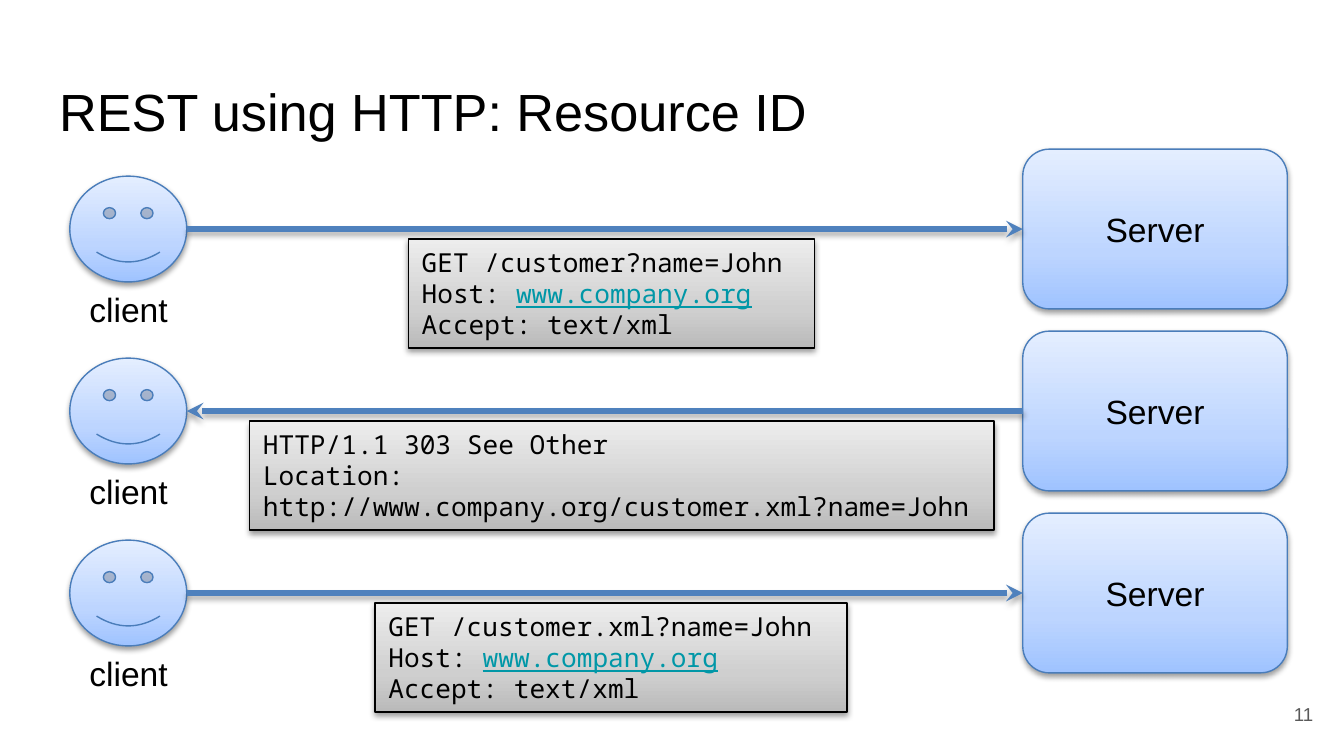
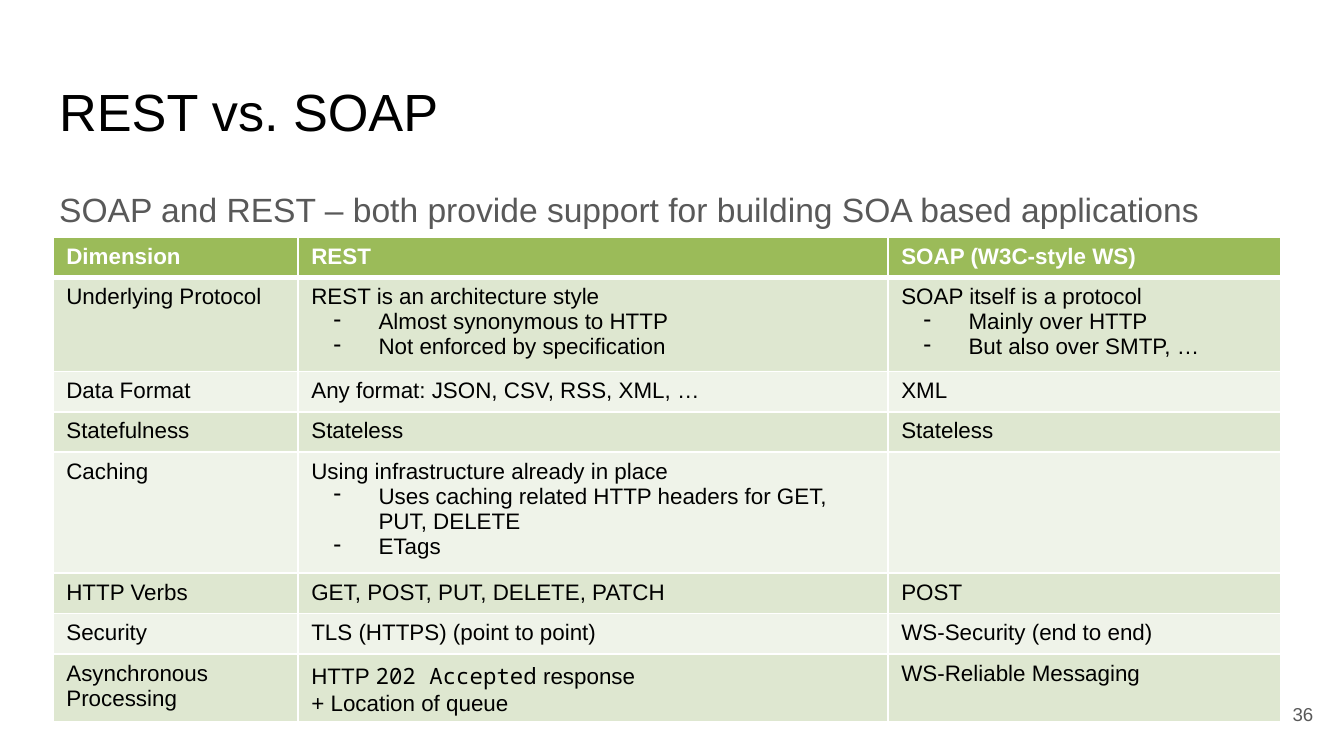
from copy import deepcopy
from dataclasses import dataclass, replace

from lxml import etree
from pptx import Presentation
from pptx.dml.color import RGBColor
from pptx.enum.shapes import MSO_CONNECTOR, MSO_SHAPE
from pptx.enum.text import MSO_ANCHOR, PP_ALIGN
from pptx.oxml import parse_xml
from pptx.oxml.ns import nsdecls, qn
from pptx.util import Cm, Pt

STRAIGHT = MSO_CONNECTOR.STRAIGHT
RECTANGLE = MSO_SHAPE.RECTANGLE
ROUNDED = MSO_SHAPE.ROUNDED_RECTANGLE
SMILEY = MSO_SHAPE.SMILEY_FACE
TOP, MIDDLE = MSO_ANCHOR.TOP, MSO_ANCHOR.MIDDLE
LEFT, CENTER, RIGHT = PP_ALIGN.LEFT, PP_ALIGN.CENTER, PP_ALIGN.RIGHT
LEFT_SIDE = 1
BLANK_LAYOUT = 6


@dataclass(frozen=True)
class TextStyle:
    size: float
    color: str
    font: str = "Arial"
    bold: bool = False
    underline: bool = False


@dataclass(frozen=True)
class Theme:
    title = TextStyle(28, "000000")
    body = TextStyle(18, "595959")
    number = TextStyle(10, "595959")
    label = TextStyle(18, "000000")
    code = TextStyle(14, "000000", "Noto Sans Mono")
    link = replace(code, color="0097A7", underline=True)
    header = TextStyle(12, "FFFFFF", bold=True)
    cell = TextStyle(12, "000000")
    cell_code = replace(cell, font="Noto Sans Mono")
    blue = ("9FC3FF", "BDD5FF", "E4EEFF")
    gray = ("BABABA", "CFCFCF", "EDEDED")
    blue_line = "4A7DBA"
    black_line = "000000"
    arrow = "4F81BD"
    header_fill = "9BBB59"
    row_fills = ("DEE7D0", "EFF3E9")
    border = "FFFFFF"


THEME = Theme()

EXCHANGES = (
    ("tailEnd", 7.72, 7.67,
     ("GET /customer?name=John", "Host: `www.company.org`", "Accept: text/xml")),
    ("headEnd", 4.72, 14.07,
     ("HTTP/1.1 303 See Other",
      "Location: http://www.company.org/customer.xml?name=John")),
    ("tailEnd", 7.09, 8.92,
     ("GET /customer.xml?name=John", "Host: `www.company.org`", "Accept: text/xml")),
)

COMPARISON = (
    (0.72, ("Dimension",), ("REST",), ("SOAP (W3C-style WS)",)),
    (1.66, ("Underlying Protocol",),
     ("REST is an architecture style", "- Almost synonymous to HTTP",
      "- Not enforced by specification"),
     ("SOAP itself is a protocol", "- Mainly over HTTP", "- But also over SMTP, …")),
    (0.72, ("Data Format",), ("Any format: JSON, CSV, RSS, XML, …",), ("XML",)),
    (0.72, ("Statefulness",), ("Stateless",), ("Stateless",)),
    (2.13, ("Caching",),
     ("Using infrastructure already in place",
      "- Uses caching related HTTP headers for GET, PUT, DELETE", "- ETags"), ()),
    (0.72, ("HTTP Verbs",), ("GET, POST, PUT, DELETE, PATCH",), ("POST",)),
    (0.72, ("Security",), ("TLS (HTTPS) (point to point)",),
     ("WS-Security (end to end)",)),
    (1.29, ("Asynchronous Processing",),
     ("HTTP `202 Accepted` response\n+ Location of queue",),
     ("WS-Reliable Messaging",)),
)


def rgb(color):
    return RGBColor.from_string(color)


def add_run(paragraph, text, style):
    run = paragraph.add_run()
    run.text = text
    font = run.font
    font.size, font.name = Pt(style.size), style.font
    font.bold, font.underline = style.bold, style.underline
    font.color.rgb = rgb(style.color)
    return run


def add_marked_text(paragraph, text, style, marked_style):
    for part_index, part in enumerate(text.split("`")):
        part_style = marked_style if part_index % 2 else style
        for line_index, line in enumerate(part.split("\n")):
            if line_index:
                paragraph.add_line_break()
                paragraph._p[-1].append(deepcopy(run._r.rPr))
            if line:
                run = add_run(paragraph, line, part_style)


def add_bullet(paragraph):
    properties = paragraph._p.get_or_add_pPr()
    properties.set("marL", str(Cm(1.27)))
    properties.set("indent", str(-Cm(0.85)))
    color = etree.SubElement(properties, qn("a:buClr"))
    etree.SubElement(color, qn("a:srgbClr"), val=THEME.cell.color)
    etree.SubElement(properties, qn("a:buChar"), char="-")


def write_lines(frame, lines, style, marked_style=None, align=LEFT):
    for index, line in enumerate(lines):
        paragraph = frame.add_paragraph() if index else frame.paragraphs[0]
        paragraph.alignment = align
        if line.startswith("- "):
            add_bullet(paragraph)
            line = line[2:]
        add_marked_text(paragraph, line, style, marked_style)


def set_frame(frame, anchor, inset):
    frame.word_wrap = True
    frame.vertical_anchor = anchor
    frame.margin_left = frame.margin_right = Cm(0.25)
    frame.margin_top = frame.margin_bottom = Cm(inset)


def add_text(slide, box, text, style, align=LEFT, anchor=TOP, inset=0.25):
    frame = slide.shapes.add_textbox(*map(Cm, box)).text_frame
    set_frame(frame, anchor, inset)
    write_lines(frame, (text,), style, align=align)
    return frame.paragraphs[0]


def add_shadow(properties, distance, opacity):
    effects = properties.find(qn("a:effectLst"))
    if effects is None:
        effects = etree.SubElement(properties, qn("a:effectLst"))
    effects.append(parse_xml(
        f'<a:outerShdw {nsdecls("a")} blurRad="40000" dist="{distance}" '
        f'dir="5400000" rotWithShape="0"><a:srgbClr val="000000">'
        f'<a:alpha val="{opacity * 1000}"/></a:srgbClr></a:outerShdw>'))


def add_gradient_shape(slide, kind, box, colors, line_color):
    shape = slide.shapes.add_shape(kind, *map(Cm, box))
    properties = shape._element.spPr
    stops = "".join(
        f'<a:gs pos="{position * 1000}"><a:srgbClr val="{color}"/></a:gs>'
        for position, color in zip((0, 35, 100), colors))
    properties.append(parse_xml(
        f'<a:gradFill {nsdecls("a")} rotWithShape="1"><a:gsLst>{stops}</a:gsLst>'
        f'<a:lin ang="16200000" scaled="0"/></a:gradFill>'))
    shape.line.color.rgb = rgb(line_color)
    shape.line.width = Pt(0.75)
    shape.shadow.inherit = False
    add_shadow(properties, 20000, 38)
    return shape


def add_server(slide, top):
    server = add_gradient_shape(
        slide, ROUNDED, (19.33, top, 5.0, 3.02), THEME.blue, THEME.blue_line)
    set_frame(server.text_frame, MIDDLE, 0.13)
    write_lines(server.text_frame, ("Server",), THEME.label, align=CENTER)
    return server


def add_client(slide, top):
    face = add_gradient_shape(
        slide, SMILEY, (1.32, top + 0.51, 2.21, 2.0), THEME.blue, THEME.blue_line)
    face.adjustments[0] = 0.05
    add_text(slide, (0.73, top + 2.51, 3.4, 1.02), "client", THEME.label,
             align=CENTER, inset=0.13)
    return face


def add_arrow(slide, client, server, arrow_end):
    middle = server.top + server.height // 2
    arrow = slide.shapes.add_connector(
        STRAIGHT, client.left + client.width, middle, server.left, middle)
    arrow.end_connect(server, LEFT_SIDE)
    arrow.line.color.rgb = rgb(THEME.arrow)
    arrow.line.width = Pt(3)
    etree.SubElement(arrow.line._get_or_add_ln(), qn(f"a:{arrow_end}"), type="stealth")
    add_shadow(arrow._element.spPr, 23000, 35)


def add_message(slide, box, lines):
    message = add_gradient_shape(slide, RECTANGLE, box, THEME.gray, THEME.black_line)
    set_frame(message.text_frame, TOP, 0.13)
    write_lines(message.text_frame, lines, THEME.code, THEME.link)


def set_cell_borders(cell, bottom_width):
    properties = cell._tc.get_or_add_tcPr()
    for index, (side, width) in enumerate(
            (("L", 1), ("R", 1), ("T", 1), ("B", bottom_width))):
        properties.insert(index, parse_xml(
            f'<a:ln{side} {nsdecls("a")} w="{Pt(width)}"><a:solidFill>'
            f'<a:srgbClr val="{THEME.border}"/></a:solidFill></a:ln{side}>'))


def add_comparison(slide, left, top, column_widths):
    height = sum(row[0] for row in COMPARISON)
    table = slide.shapes.add_table(
        len(COMPARISON), len(column_widths),
        *map(Cm, (left, top, sum(column_widths), height))).table
    for column, width in zip(table.columns, column_widths):
        column.width = Cm(width)
    for row_index, (row_height, *entries) in enumerate(COMPARISON):
        table.rows[row_index].height = Cm(row_height)
        is_header = row_index == 0
        fill = THEME.header_fill if is_header else THEME.row_fills[(row_index - 1) % 2]
        style = THEME.header if is_header else THEME.cell
        for column_index, lines in enumerate(entries):
            cell = table.cell(row_index, column_index)
            cell.fill.solid()
            cell.fill.fore_color.rgb = rgb(fill)
            set_cell_borders(cell, 3 if is_header else 1)
            write_lines(cell.text_frame, lines, style, THEME.cell_code)


def add_titled_slide(deck, title, number):
    slide = deck.slides.add_slide(deck.slide_layouts[BLANK_LAYOUT])
    add_text(slide, (0.87, 1.24, 23.67, 1.6), title, THEME.title)
    add_text(slide, (23.55, 12.95, 1.52, 1.09), number, THEME.number,
             align=RIGHT, anchor=MIDDLE)
    return slide


def build_resource_slide(deck):
    slide = add_titled_slide(deck, "REST using HTTP: Resource ID", "11")
    first_top, pitch = 2.82, 3.44
    for index, (arrow_end, left, width, lines) in enumerate(EXCHANGES):
        top = first_top + index * pitch
        server = add_server(slide, top)
        client = add_client(slide, top)
        add_arrow(slide, client, server, arrow_end)
        add_message(slide, (left, top + 1.7, width, 2.06), lines)


def build_comparison_slide(deck):
    slide = add_titled_slide(deck, "REST vs. SOAP", "36")
    intro = add_text(
        slide, (0.87, 3.2, 23.67, 1.27),
        "SOAP and REST – both provide support for building SOA based applications",
        THEME.body)
    intro.line_spacing = 1.15
    intro.space_after = Pt(16)
    add_comparison(slide, 1.0, 4.48, (4.63, 11.15, 7.42))


def main():
    deck = Presentation()
    deck.slide_width, deck.slide_height = Cm(25.4), Cm(14.29)
    build_resource_slide(deck)
    build_comparison_slide(deck)
    deck.save("out.pptx")


if __name__ == "__main__":
    main()
